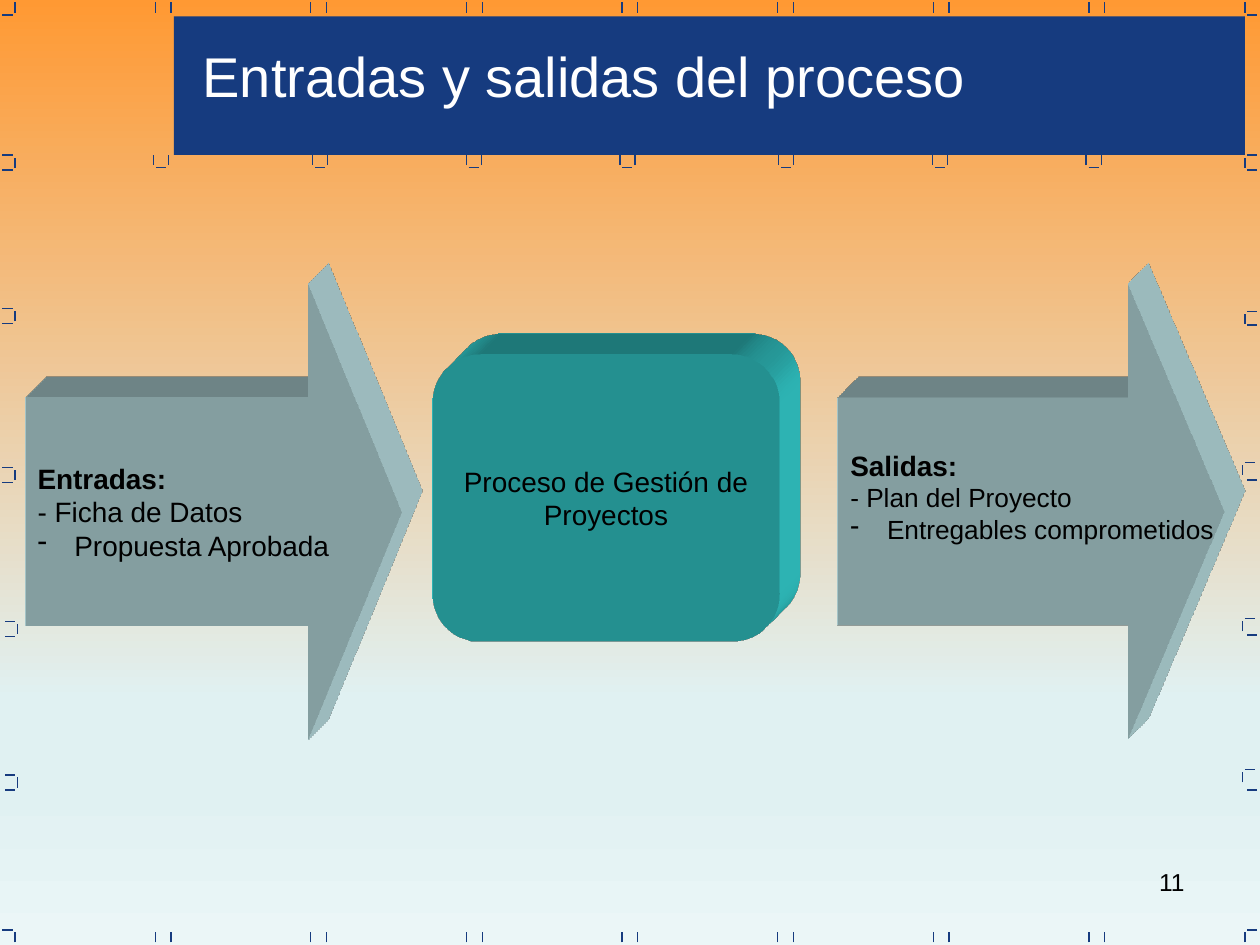
"""Build a slide that shows the inputs and outputs of the project process."""
from dataclasses import dataclass

from lxml.etree import SubElement
from pptx import Presentation
from pptx.dml.color import RGBColor
from pptx.enum.shapes import MSO_CONNECTOR as Connector, MSO_SHAPE as Preset
from pptx.enum.text import MSO_ANCHOR as Anchor, PP_ALIGN as Align
from pptx.oxml import parse_xml
from pptx.oxml.ns import nsdecls, qn
from pptx.util import Pt


@dataclass(frozen=True)
class Theme:
    """Colours, type sizes and line width of the slide."""
    font: str = "Arial"
    navy: str = "163B7F"
    pale: str = "BBE0E3"
    teal: str = "33CCCC"
    black: str = "000000"
    white: str = "FFFFFF"
    sky: tuple = ((0, "FF9933"), (74, "E0F1F2"), (83, "E0F1F2"), (100, "EBF6F7"))
    title: float = 32
    body: float = 16
    small: float = 15
    number: float = 14
    line: float = 0.75


@dataclass(frozen=True)
class Box:
    """Position and size in points."""
    left: float
    top: float
    width: float
    height: float

    def lengths(self) -> tuple:
        """Return the four lengths for python-pptx."""
        return tuple(Pt(n) for n in (self.left, self.top, self.width, self.height))


@dataclass(frozen=True)
class Bracket:
    """Side mark: an upright tick with dashes above and below it."""
    x: float
    top: float
    upper: bool = True
    lower: bool = True


@dataclass(frozen=True)
class Arrow:
    """Block arrow with a heading, a plain item and a bulleted item."""
    box: Box
    heading: str
    item: str
    bullet: str
    size: float
    bottom: float


THEME = Theme()
TICK, GAP = 5.76, 1.44
EDGE_TOPS = (1.44, 532.8)
COLUMNS = [88.7 + 88.92 * i for i in range(7)]
CUPS = (87.84, 178.56, 266.4, 354.24, 444.96, 532.8, 620.64)
LEFT_MARKS = (
    Bracket(8.64, 1.44, upper=False), Bracket(8.64, 90), Bracket(8.64, 177.84),
    Bracket(8.64, 268.56), Bracket(10.08, 356.4), Bracket(10.08, 444.24),
    Bracket(8.64, 532.8, lower=False),
)
RIGHT_MARKS = (
    Bracket(711.36, 1.44, upper=False, lower=False),
    Bracket(711.36, 90, lower=False), Bracket(711.36, 179.28, lower=False),
    Bracket(709.92, 265.68, lower=False), Bracket(709.92, 354.96, lower=False),
    Bracket(709.92, 441.36, lower=False), Bracket(711.36, 532.8, lower=False),
)
RIGHT_DASHES = [8.64 + 88.56 * i for i in range(6)]
ARROWS = (
    Arrow(Box(14.4, 162, 215.28, 260.64), "Entradas:", "- Ficha de Datos",
          "Propuesta Aprobada", THEME.body, 3.6),
    Arrow(Box(478.8, 162, 221.04, 260.64), "Salidas:", "- Plan del Proyecto",
          "Entregables comprometidos", THEME.small, 20.85),
)


def paint_background(slide) -> None:
    """Fill the slide with the vertical gradient."""
    fill = slide.background.fill
    fill.gradient()
    fill.gradient_angle = 270
    stops = slide.element.find(".//" + qn("a:gsLst"))
    stops.clear()
    for position, colour in THEME.sky:
        stop = SubElement(stops, qn("a:gs"), pos=str(position * 1000))
        SubElement(stop, qn("a:srgbClr"), val=colour)


def add_line(slide, x1: float, y1: float, x2: float, y2: float) -> None:
    """Draw one thin navy line."""
    line = slide.shapes.add_connector(Connector.STRAIGHT, Pt(x1), Pt(y1), Pt(x2), Pt(y2))
    line.line.color.rgb = RGBColor.from_string(THEME.navy)
    line.line.width = Pt(THEME.line)
    SubElement(line.element.spPr, qn("a:effectLst"))


def add_tick(slide, x: float, top: float) -> None:
    """Draw an upright tick."""
    add_line(slide, x, top + TICK, x, top)


def add_dash(slide, left: float, y: float) -> None:
    """Draw a level dash."""
    add_line(slide, left, y, left + TICK, y)


def add_bracket(slide, mark: Bracket, leftward: bool) -> None:
    """Draw a side mark whose dashes point to the slide edge."""
    left = mark.x - GAP - TICK if leftward else mark.x + GAP
    add_tick(slide, mark.x, mark.top)
    if mark.upper:
        add_dash(slide, left, mark.top - GAP)
    if mark.lower:
        add_dash(slide, left, mark.top + TICK + GAP)


def add_frame(slide) -> None:
    """Draw the marks around the slide and under the title bar."""
    for x in COLUMNS:
        for top in EDGE_TOPS:
            add_tick(slide, x, top)
            add_tick(slide, x + 9, top)
    for x in CUPS:
        add_tick(slide, x, 88.56)
        add_tick(slide, x + 8.64, 88.56)
        add_dash(slide, x + GAP, 95.76)
    for mark in LEFT_MARKS:
        add_bracket(slide, mark, leftward=True)
    for mark in RIGHT_MARKS:
        add_bracket(slide, mark, leftward=False)
    for y in RIGHT_DASHES:
        add_dash(slide, 712.8, y)


def add_block(slide, preset, box: Box, colour: str, adjustments: tuple = ()):
    """Add a filled preset shape without outline or shadow."""
    shape = slide.shapes.add_shape(preset, *box.lengths())
    for index, value in enumerate(adjustments):
        shape.adjustments[index] = value
    shape.fill.solid()
    shape.fill.fore_color.rgb = RGBColor.from_string(colour)
    shape.line.fill.background()
    shape.shadow.inherit = False
    shape.text_frame.vertical_anchor = Anchor.MIDDLE
    return shape


def extrude(shape, colour: str) -> None:
    """Give a shape an oblique depth towards the top right."""
    properties = shape.element.spPr
    properties.append(parse_xml(
        f'<a:scene3d {nsdecls("a")}><a:camera prst="legacyObliqueTopRight"/>'
        '<a:lightRig rig="legacyFlat3" dir="b"/></a:scene3d>'))
    properties.append(parse_xml(
        f'<a:sp3d {nsdecls("a")} extrusionH="{Pt(33.87)}" prstMaterial="legacyMatte">'
        '<a:bevelT w="13500" h="13500" prst="angle"/>'
        '<a:bevelB w="13500" h="13500" prst="angle"/>'
        f'<a:extrusionClr><a:srgbClr val="{colour}"/></a:extrusionClr></a:sp3d>'))


def write(paragraph, text: str, *, size: float = THEME.body, colour: str = THEME.black,
          bold: bool = False, align=Align.LEFT) -> None:
    """Append a formatted run to a paragraph."""
    paragraph.alignment = align
    run = paragraph.add_run()
    run.text = text
    run.font.name = THEME.font
    run.font.size = Pt(size)
    run.font.bold = bold
    run.font.color.rgb = RGBColor.from_string(colour)


def add_text(slide, box: Box, text: str, **style) -> None:
    """Add a text box with one paragraph."""
    frame = slide.shapes.add_textbox(*box.lengths()).text_frame
    frame.word_wrap = True
    write(frame.paragraphs[0], text, **style)


def add_arrow(slide, arrow: Arrow) -> None:
    """Add a deep block arrow with its list."""
    shape = add_block(slide, Preset.RIGHT_ARROW, arrow.box, THEME.pale, (0.5, 0.25))
    extrude(shape, THEME.pale)
    frame = shape.text_frame
    frame.word_wrap = False
    frame.margin_bottom = Pt(arrow.bottom)
    first = frame.paragraphs[0]
    write(first, arrow.heading, bold=True)
    first.add_line_break()
    write(first, arrow.item, size=arrow.size)
    second = frame.add_paragraph()
    write(second, arrow.bullet, size=arrow.size)
    properties = second._p.get_or_add_pPr()
    properties.set("marL", str(Pt(21)))
    properties.set("indent", str(Pt(-21)))
    SubElement(properties, qn("a:buFontTx"))
    SubElement(properties, qn("a:buChar"), char="-")


def main() -> None:
    """Build and save the slide."""
    presentation = Presentation()
    presentation.slide_width, presentation.slide_height = Pt(720), Pt(540)
    slide = presentation.slides.add_slide(presentation.slide_layouts[6])
    paint_background(slide)
    add_text(slide, Box(516.24, 491.76, 167.76, 37.44), "11",
             size=THEME.number, align=Align.RIGHT)
    add_frame(slide)
    add_block(slide, Preset.RECTANGLE, Box(99.36, 9.36, 612, 79.2), THEME.navy)
    add_text(slide, Box(108.72, 20.16, 489.6, 45.36), "Entradas y salidas del proceso",
             size=THEME.title, colour=THEME.white)
    entries, results = ARROWS
    add_arrow(slide, entries)
    process = add_block(slide, Preset.ROUNDED_RECTANGLE,
                        Box(246.96, 202.32, 198.72, 164.16), THEME.teal, (0.167,))
    extrude(process, THEME.teal)
    write(process.text_frame.paragraphs[0], "Proceso de Gestión de Proyectos",
          align=Align.CENTER)
    add_arrow(slide, results)
    presentation.save("out.pptx")


if __name__ == "__main__":
    main()
